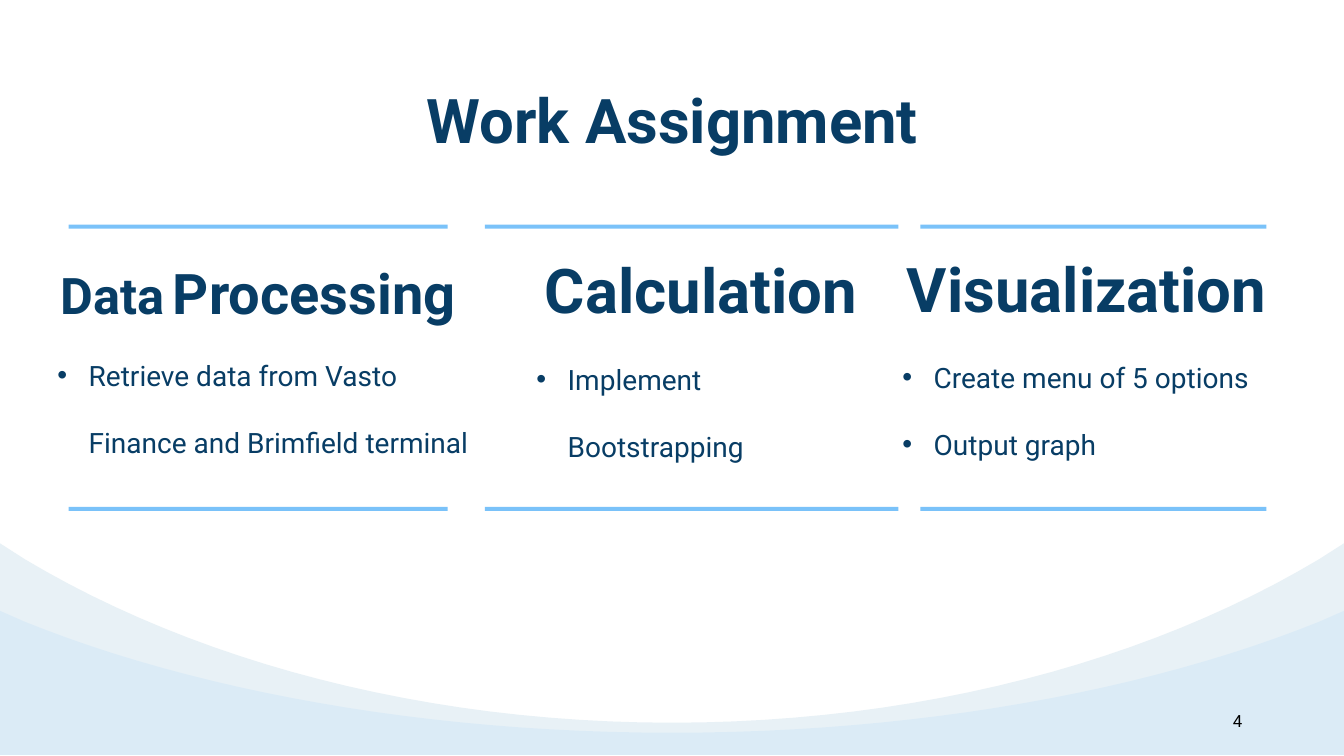
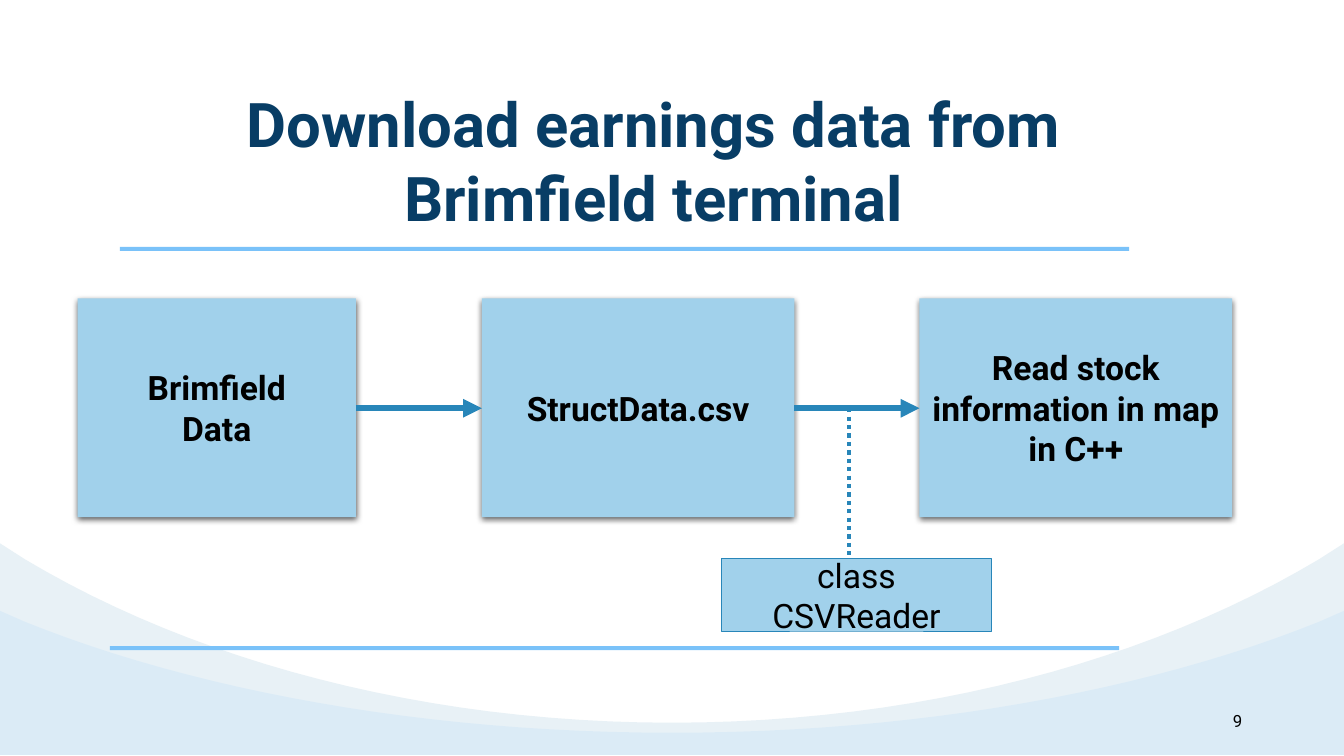
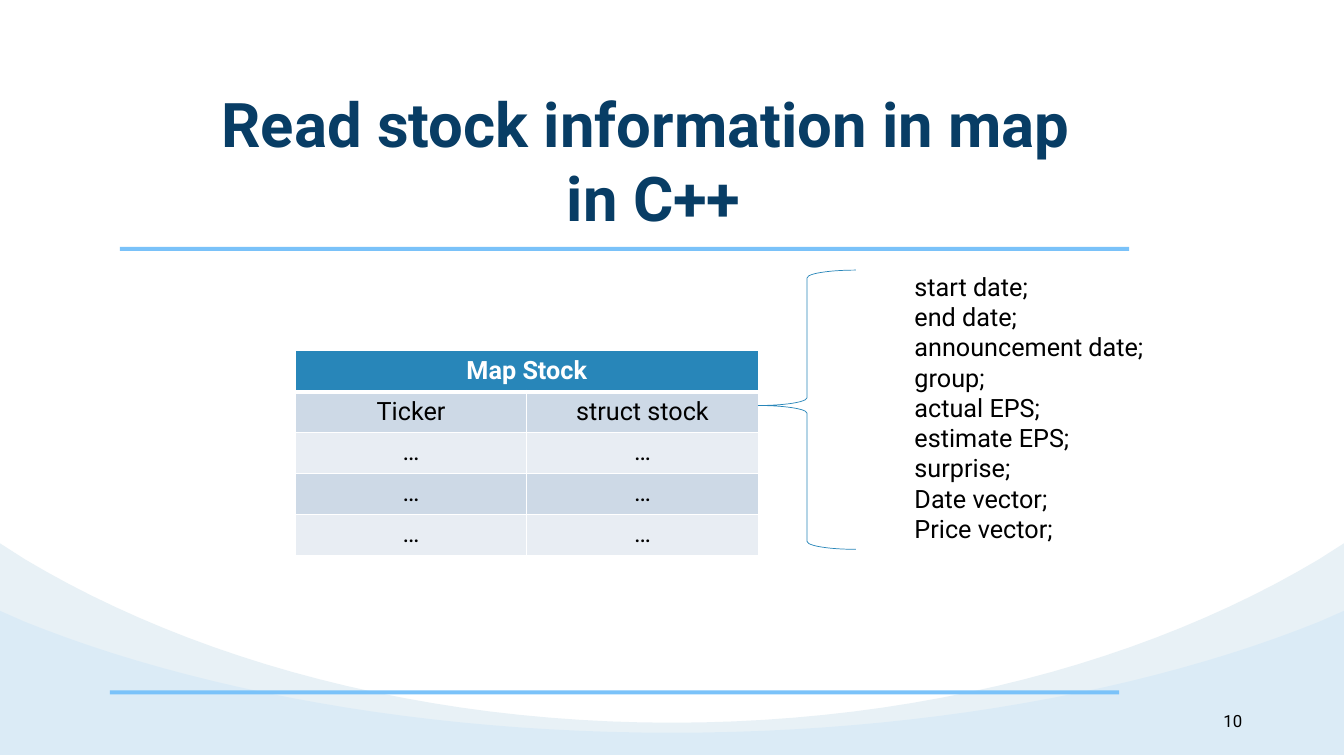
"""Build three project slides: work assignment, data download flow and stock map."""
from copy import deepcopy

from pptx import Presentation
from pptx.dml.color import RGBColor
from pptx.enum.dml import MSO_LINE
from pptx.enum.shapes import MSO_CONNECTOR, MSO_SHAPE
from pptx.enum.text import MSO_ANCHOR, MSO_AUTO_SIZE, PP_ALIGN
from pptx.oxml.ns import qn
from pptx.util import Inches, Pt
from lxml.etree import SubElement

FONT = "Roboto"
COLORS = {
    "navy": "083D65", "sky": "7AC2F9", "mist": "E8F1F6", "blue": "2886B9",
    "card": "A1D1EB", "black": "000000", "white": "FFFFFF",
    "band_dark": "CDD9E6", "band_light": "E8EDF3",
}
WIDTH, HEIGHT = 13.33, 7.5
WAVE_BOTTOM = 7.49
WAVES = [
    {"edge": 5.39, "curve": (5.55, 6.56, 7.17, 7.17), "color": "mist", "alpha": None},
    {"edge": 6.06, "curve": (6.17, 6.85, 7.27, 7.27), "color": "sky", "alpha": 11},
]
WAVE_X = (0.25, 1.94, 4.2, 6.67)
WAVE_STEPS = 24
WIDE_TITLE = (1.46, 0.85, 10.05, 1.48)

COLUMNS = [
    {"rule": (0.68, 3.76), "heading": [("Data", 36), (" ", 24), ("Processing", 40)],
     "heading_box": (0.38, 2.56, 4.36, 0.67), "list_box": (0.57, 3.22, 4.24, 1.24),
     "items": ["Retrieve data from Vasto Finance and Brimfield terminal"]},
    {"rule": (4.81, 4.1), "heading": [("Calculation", 44)],
     "heading_box": (5.18, 2.5, 3.55, 0.74), "list_box": (5.32, 3.26, 3, 1.24),
     "items": ["Implement Bootstrapping"]},
    {"rule": (9.13, 3.43), "heading": [("Visualization", 44)],
     "heading_box": (8.9, 2.49, 3.76, 0.74), "list_box": (8.95, 3.24, 3.66, 1.24),
     "items": ["Create menu of 5 options", "Output graph"]},
]
CARDS = [
    (0.77, 2.76, ["Brimfield", "Data"]),
    (4.78, 3.1, ["StructData.csv"]),
    (9.12, 3.1, ["Read stock information in map in C++"]),
]
CARD_TOP, CARD_HEIGHT, ARROW_Y = 2.96, 2.17, 4.05
MAP_ROWS = [("Map Stock", ""), ("Ticker", "struct stock")] + [("…", "…")] * 3
STOCK_FIELDS = [
    "start date;", "end date;", "announcement date;", "group;", "actual EPS;",
    "estimate EPS;", "surprise;", "Date vector;", "Price vector;",
]


def rgb(name):
    return RGBColor.from_string(COLORS[name])


def inches(values):
    return [Inches(value) for value in values]


def place(shape, box):
    shape.left, shape.top, shape.width, shape.height = inches(box)


def write(frame, paragraphs, size=None, color="navy", bold=False, align=PP_ALIGN.LEFT,
          bullet=False, spacing=1):
    """Write paragraphs, each a string or a list of (text, size) runs."""
    for index, content in enumerate(paragraphs):
        paragraph = frame.add_paragraph() if index else frame.paragraphs[0]
        paragraph.alignment = align
        paragraph.line_spacing = spacing
        paragraph.space_before = paragraph.space_after = Pt(0)
        properties = paragraph._p.get_or_add_pPr()
        indent = Inches(0.31) if bullet else 0
        properties.set("marL", str(indent))
        properties.set("indent", str(-indent))
        if bullet:
            SubElement(properties, qn("a:buChar"), char="•")
        else:
            SubElement(properties, qn("a:buNone"))
        for text, run_size in [(content, size)] if isinstance(content, str) else content:
            run = paragraph.add_run()
            run.text = text
            run.font.name, run.font.size, run.font.bold = FONT, Pt(run_size), bold
            run.font.color.rgb = rgb(color)


def fill_placeholder(shape, box, paragraphs, **style):
    place(shape, box)
    frame = shape.text_frame
    frame.word_wrap = True
    frame.auto_size = MSO_AUTO_SIZE.NONE
    frame.vertical_anchor = MSO_ANCHOR.TOP
    frame.margin_left = frame.margin_right = frame.margin_top = frame.margin_bottom = 0
    write(frame, paragraphs, **style)


def paint(shape, color, line=None):
    shape.shadow.inherit = False
    if color:
        shape.fill.solid()
        shape.fill.fore_color.rgb = rgb(color)
    else:
        shape.fill.background()
    if line:
        shape.line.color.rgb = rgb(line)
        shape.line.width = Pt(0.5)
    else:
        shape.line.fill.background()


def add_box(slide, box, color, line=None, kind=MSO_SHAPE.RECTANGLE):
    shape = slide.shapes.add_shape(kind, *inches(box))
    paint(shape, color, line)
    return shape


def add_rule(slide, left, top, width):
    add_box(slide, (left, top, width, 0.04), "sky")


def add_line(slide, start, end, width):
    line = slide.shapes.add_connector(MSO_CONNECTOR.STRAIGHT, *inches(start + end))
    line.line.color.rgb = rgb("blue")
    line.line.width = Pt(width)
    SubElement(line._element.spPr, qn("a:effectLst"))
    return line


def bezier(points, t):
    a, b, c, d = points
    u = 1 - t
    return u ** 3 * a + 3 * u * u * t * b + 3 * u * t * t * c + t ** 3 * d


def add_wave(slide, edge, curve, color, alpha):
    steps = [step / WAVE_STEPS for step in range(WAVE_STEPS + 1)]
    left = [(0, edge)] + [(bezier(WAVE_X, t), bezier(curve, t)) for t in steps]
    right = [(WIDTH - x, y) for x, y in reversed(left)]
    outline = left + right + [(WIDTH, WAVE_BOTTOM), (0, WAVE_BOTTOM)]
    points = [tuple(inches(point)) for point in outline]
    builder = slide.shapes.build_freeform(*points[0])
    builder.add_line_segments(points[1:], close=True)
    wave = builder.convert_to_shape()
    paint(wave, color)
    if alpha:
        fill_color = wave._element.spPr.find(qn("a:solidFill"))[0]
        SubElement(fill_color, qn("a:alpha"), val=str(alpha * 1000))


def add_base(presentation, layout, title, box, number):
    slide = presentation.slides.add_slide(layout)
    fill_placeholder(slide.shapes.title, box, title, size=44, bold=True, align=PP_ALIGN.CENTER)
    for wave in WAVES:
        add_wave(slide, **wave)
    frame = slide.shapes.add_textbox(*inches((9.42, 6.95, 3, 0.4))).text_frame
    frame.word_wrap = True
    frame.vertical_anchor = MSO_ANCHOR.MIDDLE
    write(frame, [number], size=12, color="black", align=PP_ALIGN.RIGHT)
    return slide


def three_column_layout(presentation):
    """Extend the comparison layout with a third heading and list."""
    layout = presentation.slide_layouts[4]
    sources = [shape for shape in layout.placeholders if shape.placeholder_format.idx in (3, 4)]
    for index, source in enumerate(sources, 13):
        element = deepcopy(source._element)
        element.nvSpPr.cNvPr.set("id", str(index + 20))
        element.nvSpPr.nvPr.find(qn("p:ph")).set("idx", str(index))
        layout.shapes._spTree.append(element)
    return layout


def add_assignment(presentation):
    slide = add_base(presentation, three_column_layout(presentation), ["Work Assignment"],
                     (2.99, 0.81, 7.36, 0.74), "4")
    holders = {shape.placeholder_format.idx: shape for shape in slide.placeholders}
    for column, (heading, body) in zip(COLUMNS, [(1, 2), (3, 4), (13, 14)]):
        fill_placeholder(holders[heading], column["heading_box"], [column["heading"]],
                         bold=True, align=PP_ALIGN.CENTER)
        fill_placeholder(holders[body], column["list_box"], column["items"],
                         size=20, bullet=True, spacing=2)
        left, width = column["rule"]
        for top in (2.23, 5.03):
            add_rule(slide, left, top, width)


def add_flow(presentation):
    slide = add_base(presentation, presentation.slide_layouts[5],
                     ["Download earnings data from Brimfield terminal"], WIDE_TITLE, "9")
    add_rule(slide, 1.19, 2.45, 10.01)
    add_rule(slide, 1.09, 6.41, 10.01)
    for left, width, lines in CARDS:
        card = add_box(slide, (left, CARD_TOP, width, CARD_HEIGHT), "card")
        write(card.text_frame, lines, size=24, color="black", bold=True, align=PP_ALIGN.CENTER)
        effects = card._element.spPr.find(qn("a:effectLst"))
        shadow = SubElement(effects, qn("a:outerShdw"), blurRad=str(Pt(4.5)),
                            dist=str(Pt(1.5)), dir="5400000", rotWithShape="0")
        shade = SubElement(shadow, qn("a:srgbClr"), val=COLORS["black"])
        SubElement(shade, qn("a:alpha"), val="63000")
    for (left, width, _), (following, _, _) in zip(CARDS, CARDS[1:]):
        arrow = add_line(slide, (left + width, ARROW_Y), (following, ARROW_Y), 4.5)
        SubElement(arrow.line._get_or_add_ln(), qn("a:tailEnd"), type="triangle")
    dotted = add_line(slide, (8.42, ARROW_Y), (8.42, 5.6), 3)
    dotted.line.dash_style = MSO_LINE.ROUND_DOT
    reader = add_box(slide, (7.16, 5.54, 2.67, 0.72), "card", "blue")
    write(reader.text_frame, ["class CSVReader"], size=24, color="black", align=PP_ALIGN.CENTER)


def style_cell(cell, text, row):
    header = row == 0
    widths = {"L": 1, "R": 1, "T": 3 if row == 1 else 1, "B": 3 if header else 1}
    properties = cell._tc.get_or_add_tcPr()
    for side, width in widths.items():
        border = SubElement(properties, qn(f"a:ln{side}"), w=str(Pt(width)))
        SubElement(SubElement(border, qn("a:solidFill")), qn("a:srgbClr"), val=COLORS["white"])
    cell.fill.solid()
    cell.fill.fore_color.rgb = rgb("blue" if header else "band_dark" if row % 2 else "band_light")
    if text:
        write(cell.text_frame, [text], size=18, color="white" if header else "black",
              bold=header, align=PP_ALIGN.CENTER)


def add_stock_map(presentation):
    slide = add_base(presentation, presentation.slide_layouts[1],
                     ["Read stock information in map ", "in C++"], WIDE_TITLE, "10")
    add_rule(slide, 1.19, 2.45, 10.01)
    add_rule(slide, 1.09, 6.85, 10.01)
    table = slide.shapes.add_table(len(MAP_ROWS), 2, *inches((2.93, 3.48, 4.59, 2.03))).table
    table.cell(0, 0).merge(table.cell(0, 1))
    for row, texts in enumerate(MAP_ROWS):
        for column, text in enumerate(texts):
            style_cell(table.cell(row, column), text, row)
    brace = add_box(slide, (7.52, 2.68, 0.97, 2.77), None, "blue", MSO_SHAPE.LEFT_BRACE)
    brace.adjustments[0], brace.adjustments[1] = 0.08, 0.485
    fill_placeholder(slide.placeholders[1], (9.07, 2.69, 3.72, 2.73), STOCK_FIELDS,
                     size=18, color="black")


def main():
    presentation = Presentation()
    presentation.slide_width, presentation.slide_height = inches((WIDTH, HEIGHT))
    add_assignment(presentation)
    add_flow(presentation)
    add_stock_map(presentation)
    presentation.save("out.pptx")


if __name__ == "__main__":
    main()
